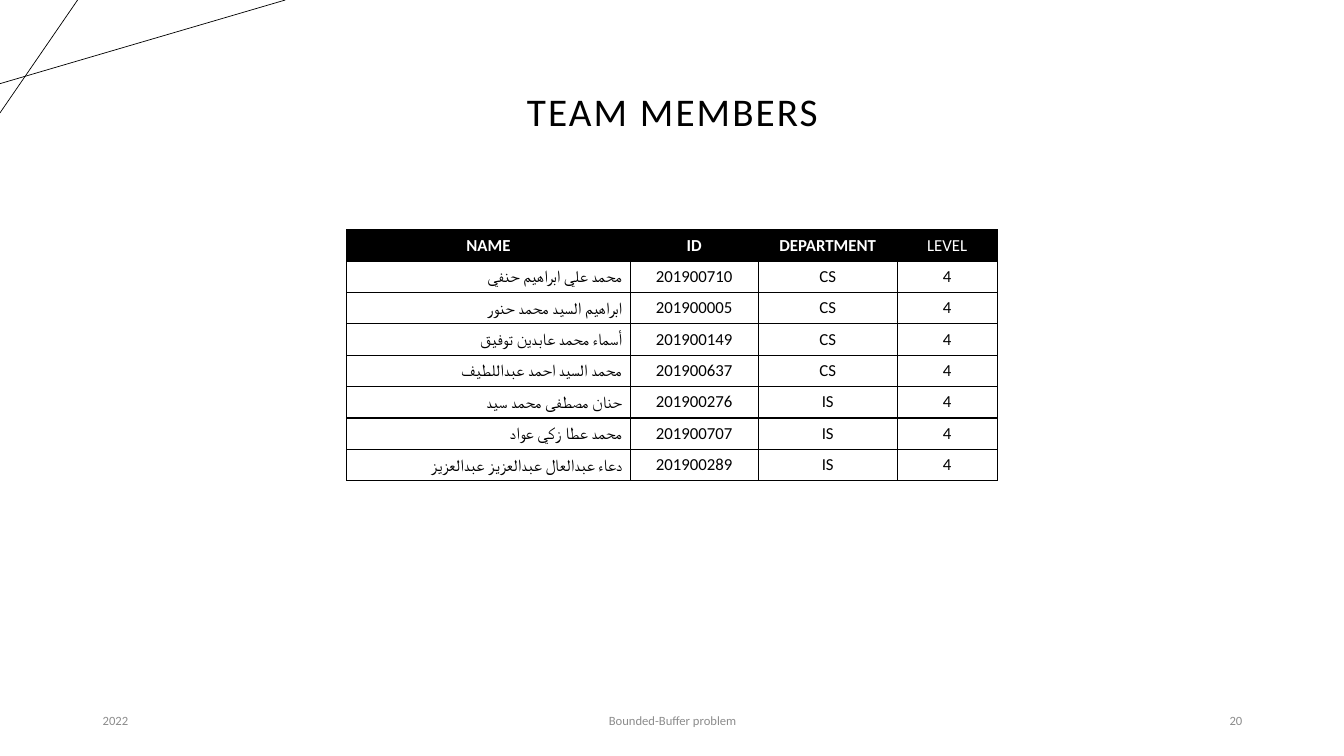
from dataclasses import dataclass
from typing import Any

from lxml.etree import SubElement
from pptx import Presentation
from pptx.dml.color import RGBColor
from pptx.enum.shapes import MSO_CONNECTOR as Connector
from pptx.enum.text import MSO_ANCHOR as Anchor, PP_ALIGN as Align
from pptx.oxml.ns import qn
from pptx.util import Inches, Pt

BLACK, WHITE, GRAY = "000000", "FFFFFF", "8C8C8C"
LATIN_FONT, ARABIC_FONT = "Calibri", "Cabin"


@dataclass(frozen=True)
class TextStyle:
    size: float
    color: str = BLACK
    font: str = LATIN_FONT
    bold: bool = False
    align: Any = Align.CENTER
    line_spacing: float = 1.0
    tracking: int = 0


@dataclass(frozen=True)
class Label:
    text: str
    left: float
    top: float
    width: float
    height: float
    style: TextStyle


@dataclass(frozen=True)
class CornerLine:
    start: tuple[float, float]
    end: tuple[float, float]


@dataclass(frozen=True)
class Member:
    name: str
    number: str
    department: str
    level: str = "4"


CORNER_LINES = [
    CornerLine((0, 0.83), (2.83, 0)),
    CornerLine((0.77, 0), (0, 1.12)),
]
LABELS = [
    Label("TEAM MEMBERS", 0.92, 0.4, 11.5, 1.45,
          TextStyle(28, line_spacing=0.9, tracking=150)),
    Label("2022", 0.92, 6.95, 3, 0.4, TextStyle(9, GRAY, align=Align.LEFT)),
    Label("Bounded-Buffer problem", 4.42, 6.95, 4.5, 0.4, TextStyle(9, GRAY)),
    Label("20", 9.42, 6.95, 3, 0.4, TextStyle(9, GRAY, align=Align.RIGHT)),
]
HEADERS = ["NAME", "ID", "DEPARTMENT", "LEVEL"]
COLUMN_WIDTHS = [2.81, 1.27, 1.38, 0.99]
TABLE_LEFT, TABLE_TOP, TABLE_HEIGHT = 3.44, 2.28, 2.49
MEMBERS = [
    Member("محمد علي ابراهيم حنفي", "201900710", "CS"),
    Member("ابراهيم السيد محمد حنور", "201900005", "CS"),
    Member("أسماء محمد عابدين توفيق", "201900149", "CS"),
    Member("محمد السيد احمد عبداللطيف", "201900637", "CS"),
    Member("حنان مصطفى محمد سيد", "201900276", "IS"),
    Member("محمد عطا زكي عواد", "201900707", "IS"),
    Member("دعاء عبدالعال عبدالعزيز عبدالعزيز", "201900289", "IS"),
]
HEADER_STYLE = TextStyle(12, WHITE, bold=True)
LEVEL_HEADER_STYLE = TextStyle(12, WHITE)
NAME_STYLE = TextStyle(12, font=ARABIC_FONT, align=Align.RIGHT)
VALUE_STYLE = TextStyle(12)


def rgb(color: str) -> RGBColor:
    return RGBColor.from_string(color)


def set_values(target: Any, values: dict[str, Any]) -> None:
    for name, value in values.items():
        setattr(target, name, value)


def write_text(text_frame: Any, text: str, style: TextStyle) -> None:
    paragraph = text_frame.paragraphs[0]
    set_values(paragraph, {"alignment": style.align, "line_spacing": style.line_spacing})
    run = paragraph.add_run()
    run.text = text
    set_values(run.font, {"name": style.font, "size": Pt(style.size), "bold": style.bold})
    run.font.color.rgb = rgb(style.color)
    properties = run.font._element
    SubElement(properties, qn("a:cs"), typeface=style.font)
    if style.tracking:
        properties.set("spc", str(style.tracking))


def add_label(slide: Any, label: Label) -> None:
    box = slide.shapes.add_textbox(
        Inches(label.left), Inches(label.top), Inches(label.width), Inches(label.height))
    set_values(box.text_frame, {"word_wrap": True, "vertical_anchor": Anchor.MIDDLE})
    write_text(box.text_frame, label.text, label.style)


def add_corner_line(slide: Any, line: CornerLine) -> None:
    connector = slide.shapes.add_connector(
        Connector.STRAIGHT, *map(Inches, line.start + line.end))
    connector.line.width = Pt(0.5)
    connector.line.color.rgb = rgb(BLACK)
    SubElement(connector._element.spPr, qn("a:effectLst"))


def add_borders(cell: Any) -> None:
    properties = cell._tc.get_or_add_tcPr()
    for side in ("lnL", "lnR", "lnT", "lnB"):
        border = SubElement(properties, qn(f"a:{side}"), w=str(Pt(1)))
        fill = SubElement(border, qn("a:solidFill"))
        SubElement(fill, qn("a:srgbClr"), val=BLACK)


def fill_cell(cell: Any, text: str, style: TextStyle, is_header: bool) -> None:
    set_values(cell, {
        "vertical_anchor": Anchor.MIDDLE,
        "margin_left": Inches(0.08), "margin_right": Inches(0.08),
        "margin_top": Inches(0.04), "margin_bottom": Inches(0.04),
    })
    add_borders(cell)
    if is_header:
        cell.fill.solid()
        cell.fill.fore_color.rgb = rgb(BLACK)
    else:
        cell.fill.background()
    write_text(cell.text_frame, text, style)


def add_member_table(slide: Any) -> None:
    row_count = len(MEMBERS) + 1
    table = slide.shapes.add_table(
        row_count, len(HEADERS), Inches(TABLE_LEFT), Inches(TABLE_TOP),
        Inches(sum(COLUMN_WIDTHS)), Inches(TABLE_HEIGHT)).table
    table.horz_banding = False
    for column, width in zip(table.columns, COLUMN_WIDTHS):
        column.width = Inches(width)
    for row in table.rows:
        row.height = Inches(TABLE_HEIGHT / row_count)

    header_styles = [HEADER_STYLE] * 3 + [LEVEL_HEADER_STYLE]
    member_styles = [NAME_STYLE] + [VALUE_STYLE] * 3
    rows = [HEADERS] + [[m.name, m.number, m.department, m.level] for m in MEMBERS]
    for row_index, texts in enumerate(rows):
        is_header = row_index == 0
        styles = header_styles if is_header else member_styles
        for column_index, (text, style) in enumerate(zip(texts, styles)):
            fill_cell(table.cell(row_index, column_index), text, style, is_header)


def main() -> None:
    presentation = Presentation()
    set_values(presentation, {"slide_width": Inches(13.33), "slide_height": Inches(7.5)})
    slide = presentation.slides.add_slide(presentation.slide_layouts[6])
    for line in CORNER_LINES:
        add_corner_line(slide, line)
    for label in LABELS:
        add_label(slide, label)
    add_member_table(slide)
    presentation.save("out.pptx")


if __name__ == "__main__":
    main()
